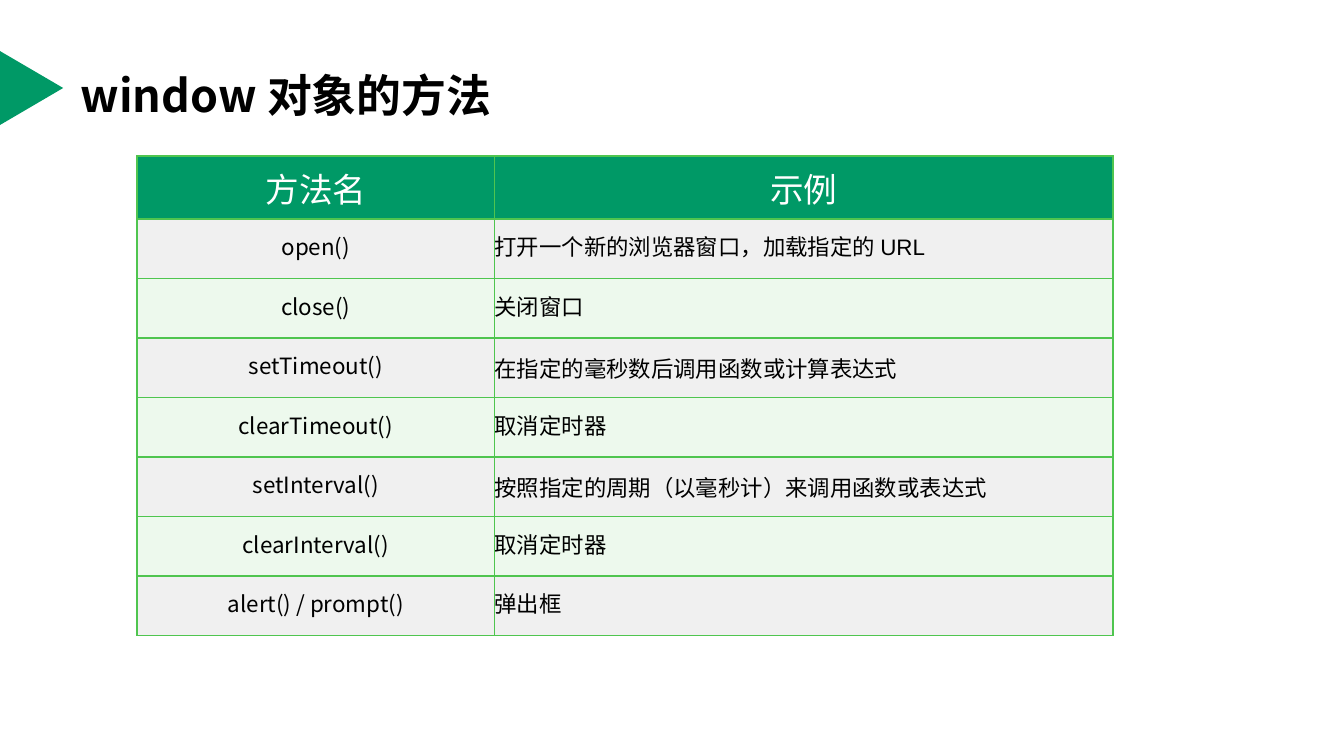
from dataclasses import dataclass

from lxml import etree
from pptx import Presentation, util as u
from pptx.dml.color import RGBColor
from pptx.enum import shapes, text
from pptx.oxml.ns import qn


@dataclass(frozen=True)
class Theme:
    green: str = "009966"
    line: str = "4FC54F"
    odd: str = "F0F0F0"
    even: str = "EDF9ED"
    black: str = "000000"
    white: str = "FFFFFF"
    sans: str = "Noto Sans CJK SC"
    latin: str = "Arial"
    title: int = 24
    head: int = 18
    body: int = 12


@dataclass(frozen=True)
class Method:
    name: str
    use: str
    font: str = Theme.sans
    loose: bool = False  # space before instead of a fixed line height


T = Theme()
HEAD = ("方法名", "示例")
METHODS = [
    Method("open()", "打开一个新的浏览器窗口，加载指定的 URL", T.latin),
    Method("close()", "关闭窗口"),
    Method("setTimeout()", "在指定的毫秒数后调用函数或计算表达式", T.latin, True),
    Method("clearTimeout()", "取消定时器"),
    Method("setInterval()", "按照指定的周期（以毫秒计）来调用函数或表达式", T.latin, True),
    Method("clearInterval()", "取消定时器"),
    Method("alert() / prompt()", "弹出框"),
]


def write(frame, words: str, *, size: int, color: str = T.black,
          font: str = T.sans, bold: bool = False,
          align=text.PP_ALIGN.LEFT, line=None, before=None) -> None:
    """Fill a text frame with one formatted paragraph."""
    para = frame.paragraphs[0]
    para.alignment = align
    if line is not None:
        para.line_spacing = u.Pt(line)
    if before is not None:
        para.space_before = u.Pt(before)
    run = para.add_run()
    run.text = words
    run.font.size = u.Pt(size)
    run.font.bold = bold
    run.font.name = font
    run.font.color.rgb = RGBColor.from_string(color)
    # East Asian glyphs always use the sans face
    etree.SubElement(run.font._element, qn("a:ea"), typeface=T.sans)


def paint(cell, fill: str, inset: bool = True) -> None:
    """Give a cell its borders, fill, margins and anchor."""
    props = cell._tc.get_or_add_tcPr()
    for side in ("lnL", "lnR", "lnT", "lnB"):
        edge = etree.SubElement(props, qn(f"a:{side}"), w=str(u.Pt(1)))
        solid = etree.SubElement(edge, qn("a:solidFill"))
        etree.SubElement(solid, qn("a:srgbClr"), val=T.line)
    cell.fill.solid()
    cell.fill.fore_color.rgb = RGBColor.from_string(fill)
    cell.margin_left = cell.margin_right = u.Inches(0.1 if inset else 0)
    cell.margin_top = cell.margin_bottom = u.Inches(0.05 if inset else 0)
    cell.vertical_anchor = text.MSO_ANCHOR.MIDDLE


def add_mark(slide) -> None:
    """Draw the triangle at the left edge."""
    mark = slide.shapes.add_shape(
        shapes.MSO_SHAPE.ISOSCELES_TRIANGLE,
        u.Inches(-0.04), u.Inches(0.42), u.Inches(0.55), u.Inches(0.47))
    mark.rotation = 90
    mark.shadow.inherit = False
    mark.fill.solid()
    mark.fill.fore_color.rgb = RGBColor.from_string(T.green)
    mark.line.fill.background()


def add_title(slide, words: str) -> None:
    title = slide.shapes.title
    title.left, title.top = u.Inches(0.5), u.Inches(0.23)
    title.width, title.height = u.Inches(9), u.Inches(0.94)
    title.text_frame.vertical_anchor = text.MSO_ANCHOR.MIDDLE
    write(title.text_frame, words, size=T.title, bold=True)


def add_methods(slide, methods: list[Method]) -> None:
    """Draw the table of methods, one row each."""
    tall, top = u.Inches(3.57), u.Inches(0.47)
    grid = slide.shapes.add_table(
        len(methods) + 1, len(HEAD),
        u.Inches(1.02), u.Inches(1.16), u.Inches(7.26), tall).table
    for col, wide in zip(grid.columns, (2.66, 4.6)):
        col.width = u.Inches(wide)
    for i, row in enumerate(grid.rows):
        row.height = (tall - top) // len(methods) if i else top

    # Header row
    mid = text.PP_ALIGN.CENTER
    for i, words in enumerate(HEAD):
        cell = grid.cell(0, i)
        paint(cell, T.green)
        write(cell.text_frame, words, size=T.head, color=T.white, align=mid)

    # Body rows
    for i, item in enumerate(methods, 1):
        fill = T.odd if i % 2 else T.even
        name, use = grid.cell(i, 0), grid.cell(i, 1)
        paint(name, fill)
        write(name.text_frame, item.name, size=T.body, align=mid, line=14.4)
        paint(use, fill, inset=False)
        write(use.text_frame, item.use, size=T.body, font=item.font,
              line=None if item.loose else 14.4,
              before=2.4 if item.loose else None)


def main() -> None:
    deck = Presentation()
    # A 16:9 page
    deck.slide_width = u.Inches(10)
    deck.slide_height = deck.slide_width * 9 // 16
    slide = deck.slides.add_slide(deck.slide_layouts[5])
    add_mark(slide)
    add_title(slide, "window 对象的方法")
    add_methods(slide, METHODS)
    deck.save("out.pptx")


if __name__ == "__main__":
    main()
